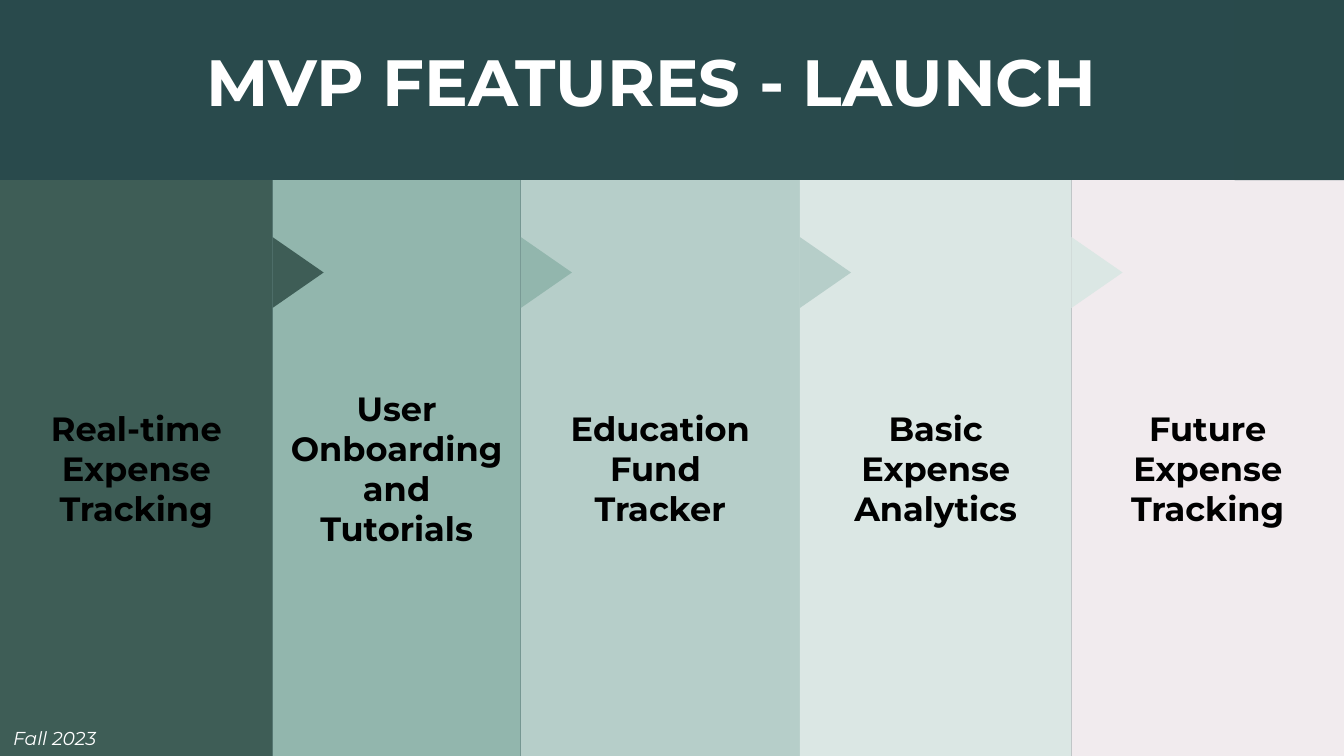
import pptx
import pptx.dml.color
import pptx.enum.shapes
import pptx.enum.text
import pptx.util

Pt = pptx.util.Pt
SHAPES = pptx.enum.shapes.MSO_SHAPE
ANCHOR = pptx.enum.text.MSO_ANCHOR
ALIGN = pptx.enum.text.PP_ALIGN
AUTO_SIZE = pptx.enum.text.MSO_AUTO_SIZE


def color(value):
    return pptx.dml.color.RGBColor.from_string(value)


class SlideBuilder:
    font_name = "Montserrat"
    title_format = {"size": Pt(35), "bold": True}
    label_format = {"size": Pt(18), "bold": True}
    footer_format = {"size": Pt(10), "italic": True}

    def __init__(self, slide):
        self.slide = slide

    def background(self, fill):
        self.slide.background.fill.solid()
        self.slide.background.fill.fore_color.rgb = color(fill)

    def shape(self, kind, left, top, width, height, fill, rotation=0):
        shape = self.slide.shapes.add_shape(
            kind, Pt(left), Pt(top), Pt(width), Pt(height))
        shape.shadow.inherit = False
        shape.fill.solid()
        shape.fill.fore_color.rgb = color(fill)
        shape.line.fill.background()
        shape.rotation = rotation
        return shape

    def set_text(self, shape, lines, text_format, text_color, align):
        frame = shape.text_frame
        frame.word_wrap = True
        for index, line in enumerate(lines):
            paragraph = frame.add_paragraph() if index else frame.paragraphs[0]
            paragraph.text = line
            paragraph.alignment = align
            paragraph.font.name = self.font_name
            paragraph.font.color.rgb = color(text_color)
            for name, value in text_format.items():
                setattr(paragraph.font, name, value)
        return frame

    def text(self, left, top, width, height, line, text_format, align):
        box = self.slide.shapes.add_textbox(
            Pt(left), Pt(top), Pt(width), Pt(height))
        return self.set_text(box, [line], text_format, "FFFFFF", align)

    def column(self, left, top, width, height, fill, lines):
        shape = self.shape(SHAPES.RECTANGLE, left, top, width, height, fill)
        frame = self.set_text(shape, lines, self.label_format, "000000",
                              ALIGN.CENTER)
        frame.vertical_anchor = ANCHOR.MIDDLE

    def pointer(self, edge, middle, fill):
        # A triangle turned right, with its base on the column edge
        base, depth = 38, 27.4
        self.shape(SHAPES.ISOSCELES_TRIANGLE, edge + (depth - base) / 2,
                   middle - depth / 2, base, depth, fill, 90)


def main():
    slide_width, slide_height = 720, 405
    header_height = 96.5
    presentation = pptx.Presentation()
    presentation.slide_width = Pt(slide_width)
    presentation.slide_height = Pt(slide_height)
    builder = SlideBuilder(
        presentation.slides.add_slide(presentation.slide_layouts[6]))
    builder.background("294A4C")

    # Title
    title = builder.text(37.4, 15, 623.5, 58.5, "MVP FEATURES - LAUNCH",
                         builder.title_format, ALIGN.CENTER)
    for side in ("left", "top", "right", "bottom"):
        setattr(title, f"margin_{side}", Pt(7.2))

    # Feature columns
    features = [
        (0, "3E5D56", ["Real-time Expense Tracking"]),
        (146, "92B6AD", ["User Onboarding and Tutorials"]),
        (279, "B6CEC9", ["Education Fund ", "Tracker"]),
        (428.5, "DBE7E4", ["Basic Expense Analytics"]),
        (574, "F1EBEE", ["Future Expense Tracking"]),
    ]
    edges = [left for left, _, _ in features[1:]] + [slide_width]
    for (left, fill, lines), right in zip(features, edges):
        builder.column(left, header_height, right - left,
                       slide_height - header_height, fill, lines)

    # Pointers from each column into the next
    for (_, fill, _), edge in zip(features, edges[:-1]):
        builder.pointer(edge, 146, fill)

    # Header corner block
    builder.shape(SHAPES.RECTANGLE, 661.5, 0, 58.5, header_height, "294A4B")

    # Footer
    footer = builder.text(0, 386, 60, 19.4, "Fall 2023",
                          builder.footer_format, ALIGN.LEFT)
    footer.auto_size = AUTO_SIZE.SHAPE_TO_FIT_TEXT

    presentation.save("out.pptx")


if __name__ == "__main__":
    main()
